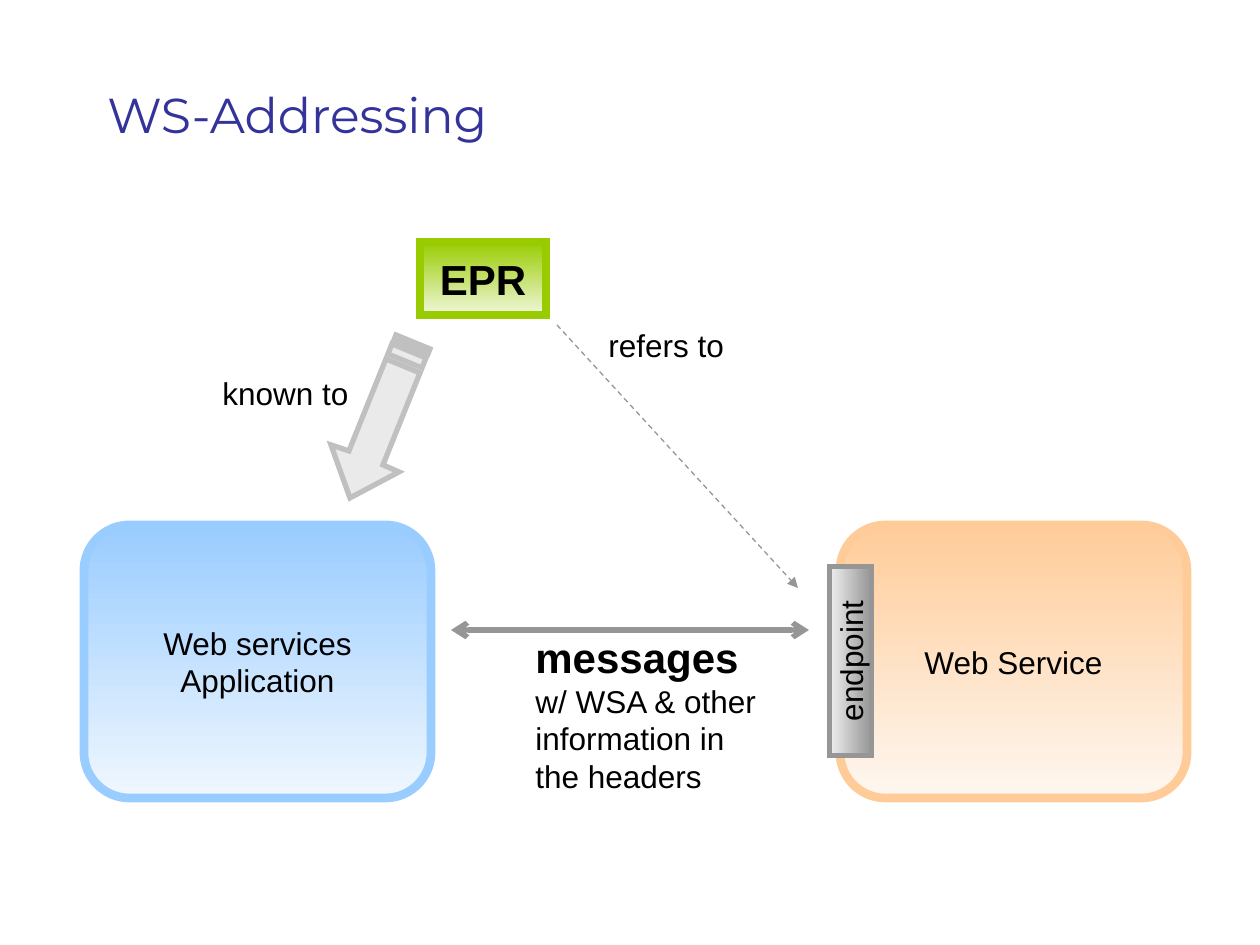
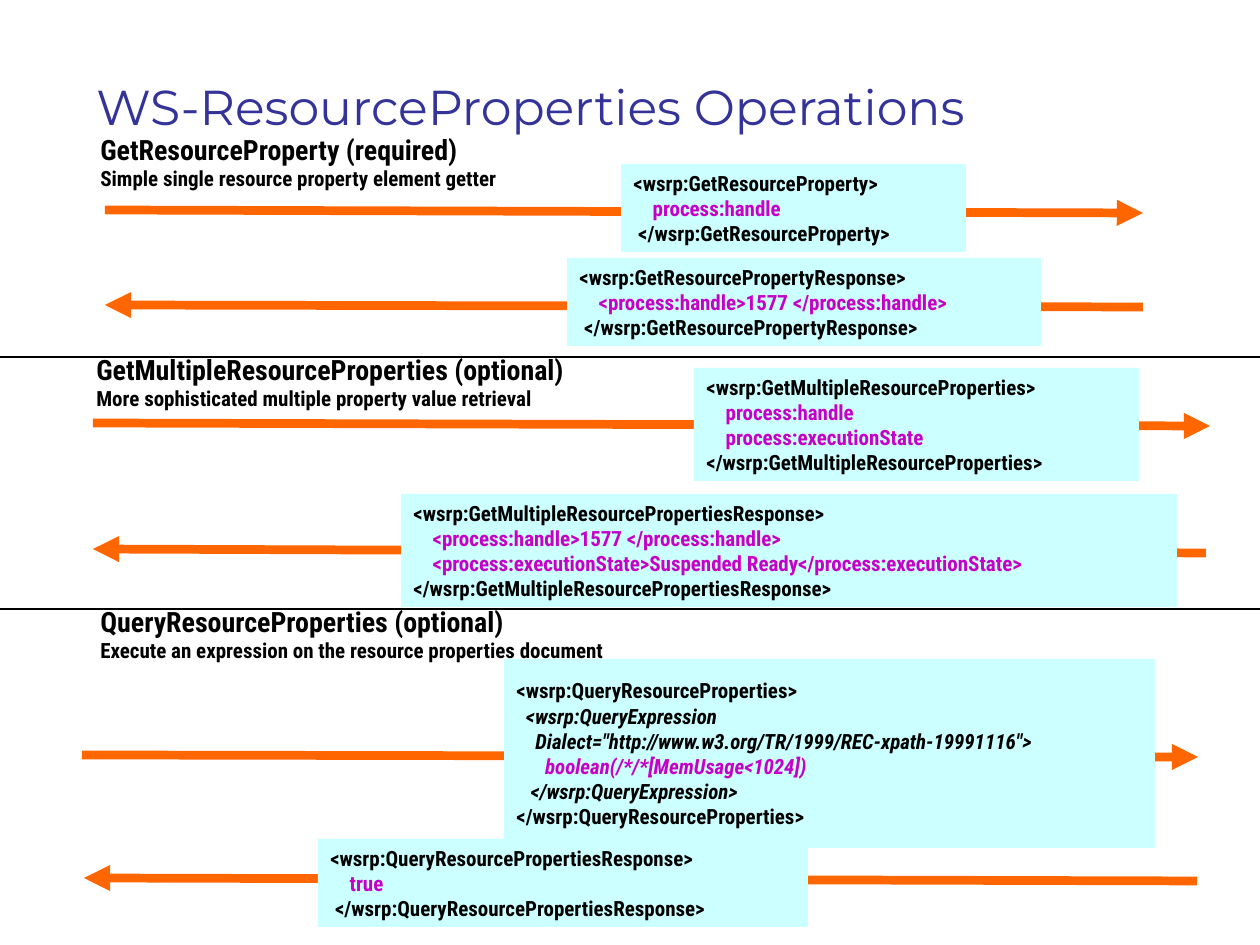
from lxml.etree import SubElement
from pptx import Presentation
from pptx.dml.color import RGBColor
from pptx.enum.dml import MSO_LINE
from pptx.enum.shapes import MSO_CONNECTOR, MSO_SHAPE
from pptx.enum.text import MSO_ANCHOR, MSO_AUTO_SIZE, PP_ALIGN
from pptx.oxml.ns import qn
from pptx.util import Pt

PX = 914400 / 126
WIDTH, HEIGHT = 1260, 945

NAVY = RGBColor(0x33, 0x33, 0x99)
BLACK = RGBColor(0x00, 0x00, 0x00)
GRAY = RGBColor(0x96, 0x96, 0x96)
LIGHT_GRAY = RGBColor(0xEF, 0xEF, 0xEF)
ARROW_FILL = RGBColor(0xEA, 0xEA, 0xEA)
ARROW_EDGE = RGBColor(0xC0, 0xC0, 0xC0)
GREEN = RGBColor(0x99, 0xCC, 0x00)
PALE_GREEN = RGBColor(0xF0, 0xF7, 0xDB)
BLUE = RGBColor(0x99, 0xCC, 0xFF)
PALE_BLUE = RGBColor(0xF0, 0xF7, 0xFE)
PEACH = RGBColor(0xFF, 0xCC, 0x99)
PALE_PEACH = RGBColor(0xFE, 0xF7, 0xF0)
ORANGE = RGBColor(0xFF, 0x66, 0x00)
CYAN = RGBColor(0xCC, 0xFF, 0xFF)
MAGENTA = RGBColor(0xC6, 0x00, 0xC6)

TITLE_FONT, LABEL_FONT, CODE_FONT = "Montserrat", "Arial", "Roboto Condensed"
BIG = dict(size=24, bold=True)
VALUE = dict(color=MAGENTA)
ITALIC = dict(italic=True)

ADDRESSING_TITLE = ("WS-Addressing", (95, 73, 809, 76))
NODES = [
    (MSO_SHAPE.ROUNDED_RECTANGLE, (840, 525, 347, 273), (PEACH, PALE_PEACH), 5, 270, 0,
     ["Web Service"]),
    (MSO_SHAPE.RECTANGLE, (756, 640, 189, 42), (GRAY, LIGHT_GRAY), 3, 180, 270,
     ["endpoint"]),
    (MSO_SHAPE.RECTANGLE, (420, 242, 126, 73), (GREEN, PALE_GREEN), 5, 270, 0,
     [("EPR", BIG)]),
    (MSO_SHAPE.ROUNDED_RECTANGLE, (84, 525, 347, 273), (BLUE, PALE_BLUE), 5, 270, 0,
     ["Web services", "Application"]),
]
LABELS = [
    ((523, 625, 260, 176), [("messages", BIG), "w/ WSA & other", "information in", "the headers"]),
    ((596, 320, 160, 50), ["refers to"]),
    ((210, 368, 160, 50), ["known to"]),
]
MESSAGES_LINE = (451, 630, 809, 630)
REFERS_LINE = (557, 325, 798, 588)
KNOWN_ARROW = [
    [(420, 373), (383, 465), (399, 472), (350, 498), (331, 445), (349, 451), (386, 359)],
    [(430, 349), (428, 354), (394, 340), (396, 335)],
    [(426, 358), (422, 368), (388, 354), (392, 344)],
]

OPERATIONS_TITLE = ("WS-ResourceProperties Operations", (84, 53, 1040, 88))
OPERATIONS = [
    dict(
        heading=(88, 126), name="GetResourceProperty (required)",
        summary="Simple single resource property element getter",
        request_line=(105, 210, 1143, 213), request_box=(621, 164, 345, 88),
        request=["<wsrp:GetResourceProperty>",
                 ("    process:handle", VALUE),
                 " </wsrp:GetResourceProperty>"],
        response_line=(105, 305, 1143, 307), response_box=(567, 258, 474, 88),
        response=["<wsrp:GetResourcePropertyResponse>",
                  ("    <process:handle>1577 </process:handle>", VALUE),
                  " </wsrp:GetResourcePropertyResponse>"],
    ),
    dict(
        heading=(84, 346), name="GetMultipleResourceProperties (optional)",
        summary="More sophisticated multiple property value retrieval",
        request_line=(93, 423, 1210, 426), request_box=(694, 368, 445, 113),
        request=["<wsrp:GetMultipleResourceProperties>",
                 ("    process:handle", VALUE),
                 ("    process:executionState", VALUE),
                 "</wsrp:GetMultipleResourceProperties>"],
        response_line=(93, 549, 1206, 553), response_box=(401, 494, 776, 113),
        response=["<wsrp:GetMultipleResourcePropertiesResponse>",
                  ("    <process:handle>1577 </process:handle>", VALUE),
                  ("    <process:executionState>Suspended Ready</process:executionState>", VALUE),
                  "</wsrp:GetMultipleResourcePropertiesResponse>"],
    ),
    dict(
        heading=(88, 598), name="QueryResourceProperties (optional)",
        summary="Execute an expression on the resource properties document",
        request_line=(82, 755, 1198, 757), request_box=(504, 659, 651, 189),
        request=["<wsrp:QueryResourceProperties>",
                 ("  <wsrp:QueryExpression", ITALIC),
                 ('    Dialect="http://www.w3.org/TR/1999/REC-xpath-19991116">', ITALIC),
                 ("      boolean(/*/*[MemUsage<1024])", {**VALUE, **ITALIC}),
                 ("   </wsrp:QueryExpression>", ITALIC),
                 "</wsrp:QueryResourceProperties>"],
        response_line=(84, 878, 1197, 881), response_box=(318, 839, 490, 88),
        response=["<wsrp:QueryResourcePropertiesResponse>",
                  ("    true", VALUE),
                  " </wsrp:QueryResourcePropertiesResponse>"],
    ),
]
HEADING_SIZE = (1043, 72)
DIVIDERS = (357, 609)


def emu(box):
    return [round(v * PX) for v in box]


def write(sp, lines, font=LABEL_FONT, size=18, color=BLACK, bold=False, italic=False,
          align=PP_ALIGN.LEFT, anchor=MSO_ANCHOR.TOP, wrap=True, spacing=None):
    base = dict(size=size, color=color, bold=bold, italic=italic)
    tf = sp.text_frame
    tf.word_wrap = wrap
    tf.vertical_anchor = anchor
    for i, line in enumerate(lines):
        text, changes = (line, {}) if isinstance(line, str) else line
        style = {**base, **changes}
        p = tf.add_paragraph() if i else tf.paragraphs[0]
        p.alignment = align
        if spacing:
            p.line_spacing = spacing
        r = p.add_run()
        r.text = text
        r.font.name = font
        r.font.size = Pt(style["size"])
        r.font.color.rgb = style["color"]
        r.font.bold = style["bold"]
        r.font.italic = style["italic"]


def add_text(s, box, lines, **style):
    sp = s.shapes.add_textbox(*emu(box))
    write(sp, lines, **style)
    sp.text_frame.auto_size = MSO_AUTO_SIZE.NONE


def add_title(s, text, box):
    add_text(s, box, [text], font=TITLE_FONT, size=28, color=NAVY,
             anchor=MSO_ANCHOR.BOTTOM, spacing=0.8)


def paint(sp, fill=None, edge=None, width=0):
    sp.shadow.inherit = False
    if fill is not None:
        sp.fill.solid()
        sp.fill.fore_color.rgb = fill
    if edge is None:
        sp.line.fill.background()
    else:
        sp.line.color.rgb = edge
        sp.line.width = Pt(width)
        ln = sp._element.spPr.find(qn("a:ln"))
        SubElement(ln, qn("a:miter")).set("lim", "800000")


def add_node(s, kind, box, colors, width, angle, rotation, lines):
    sp = s.shapes.add_shape(kind, *emu(box))
    paint(sp, edge=colors[0], width=width)
    sp.rotation = rotation
    sp.fill.gradient()
    sp.fill.gradient_angle = angle
    for stop, color in zip(sp.fill.gradient_stops, colors):
        stop.color.rgb = color
    sp._element.spPr.find(qn("a:gradFill")).set("rotWithShape", "0")
    write(sp, lines, align=PP_ALIGN.CENTER, anchor=MSO_ANCHOR.MIDDLE, wrap=False)


def add_outline(s, contours, **look):
    first, *others = contours
    builder = s.shapes.build_freeform(*first[0], scale=PX)
    builder.add_line_segments(first[1:], close=True)
    for contour in others:
        builder.move_to(*contour[0])
        builder.add_line_segments(contour[1:], close=True)
    paint(builder.convert_to_shape(), **look)


def add_line(s, ends, color, width, head=None, tail=None, dash=None):
    c = s.shapes.add_connector(MSO_CONNECTOR.STRAIGHT, *emu(ends))
    c.line.color.rgb = color
    c.line.width = Pt(width)
    if dash:
        c.line.dash_style = dash
    spPr = c._element.spPr
    ln = spPr.find(qn("a:ln"))
    for tag, kind in (("a:headEnd", head), ("a:tailEnd", tail)):
        if kind:
            SubElement(ln, qn(tag)).set("type", kind)
    SubElement(spPr, qn("a:effectLst"))


def add_code(s, box, lines):
    sp = s.shapes.add_shape(MSO_SHAPE.RECTANGLE, *emu(box))
    paint(sp, fill=CYAN)
    write(sp, lines, font=CODE_FONT, size=12, bold=True, anchor=MSO_ANCHOR.MIDDLE)


def build_addressing(s):
    add_title(s, *ADDRESSING_TITLE)
    for node in NODES:
        add_node(s, *node)
    add_line(s, MESSAGES_LINE, GRAY, 3, head="arrow", tail="arrow")
    add_line(s, REFERS_LINE, GRAY, 0.75, tail="triangle", dash=MSO_LINE.DASH)
    add_outline(s, KNOWN_ARROW, fill=ARROW_FILL, edge=ARROW_EDGE, width=3)
    for box, lines in LABELS:
        add_text(s, box, lines)


def build_operations(s):
    add_title(s, *OPERATIONS_TITLE)
    for op in OPERATIONS:
        add_line(s, op["response_line"], ORANGE, 5, head="triangle")
        add_line(s, op["request_line"], ORANGE, 5, tail="triangle")
        add_code(s, op["request_box"], op["request"])
        add_text(s, op["heading"] + HEADING_SIZE, [(op["name"], dict(size=16)), op["summary"]],
                 font=CODE_FONT, size=12, bold=True)
        add_code(s, op["response_box"], op["response"])
    for y in DIVIDERS:
        add_line(s, (0, y, WIDTH, y), BLACK, 0.75)


def main():
    prs = Presentation()
    prs.slide_width, prs.slide_height = emu((WIDTH, HEIGHT))
    for build in (build_addressing, build_operations):
        build(prs.slides.add_slide(prs.slide_layouts[6]))
    prs.save("out.pptx")


if __name__ == "__main__":
    main()
